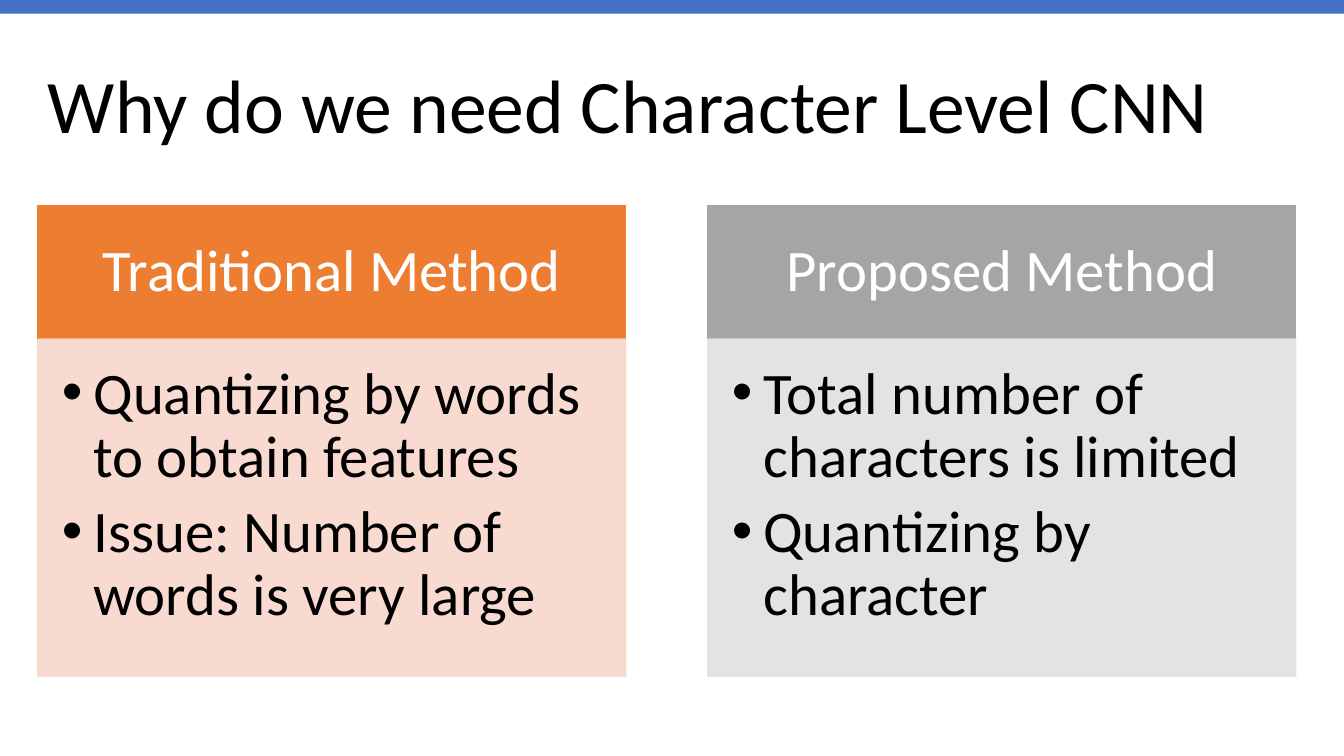
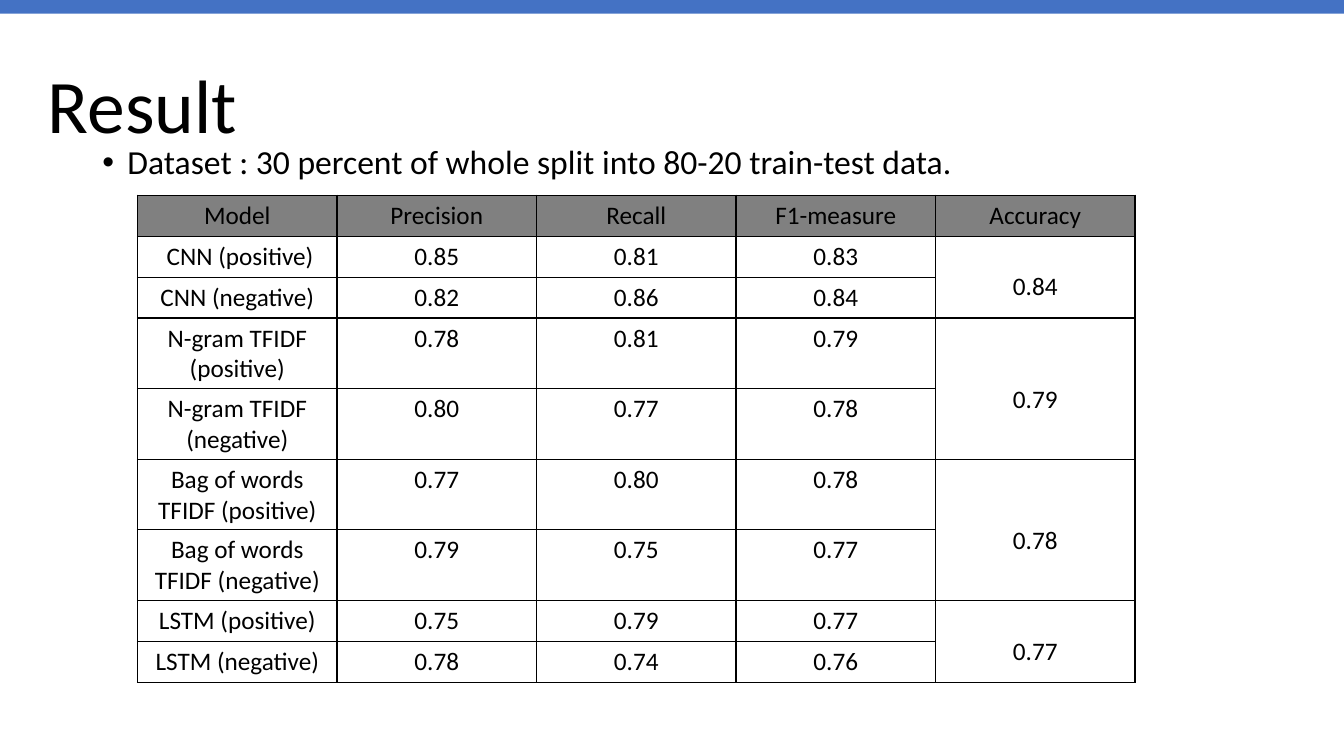
from dataclasses import dataclass

from lxml.etree import SubElement
from pptx import Presentation
from pptx.dml.color import RGBColor
from pptx.enum.shapes import MSO_SHAPE
from pptx.enum.text import MSO_ANCHOR, MSO_AUTO_SIZE, PP_ALIGN
from pptx.oxml.ns import qn
from pptx.shapes.autoshape import Shape
from pptx.slide import Slide
from pptx.table import _Cell
from pptx.text.text import TextFrame, _Paragraph
from pptx.util import Emu, Pt

WIDE, HIGH = 1280, 720


@dataclass(frozen=True)
class Theme:
    font: str = "Calibri"
    ink: str = "000000"
    paper: str = "FFFFFF"
    band: str = "4472C4"
    orange: str = "ED7D31"
    peach: str = "F8D7CD"
    gray: str = "A5A5A5"
    pale: str = "E1E1E1"
    head: str = "808080"
    title: int = 54
    card: int = 42
    note: int = 24
    cell: int = 18


@dataclass(frozen=True)
class Box:
    left: int
    top: int
    width: int
    height: int

    def emu(self) -> tuple[Emu, Emu, Emu, Emu]:
        return px(self.left), px(self.top), px(self.width), px(self.height)


@dataclass(frozen=True)
class Card:
    head: str
    points: tuple[str, ...]
    dark: str
    light: str


@dataclass(frozen=True)
class Model:
    """Two result rows that share one accuracy, set some lines down."""
    rows: tuple[tuple[str, ...], tuple[str, ...]]
    score: str
    drop: int


THEME = Theme()

CARDS = (
    Card("Traditional Method",
         ("Quantizing by words to obtain features",
          "Issue: Number of words is very large"),
         THEME.orange, THEME.peach),
    Card("Proposed Method",
         ("Total number of characters is limited", "Quantizing by character"),
         THEME.gray, THEME.pale),
)

HEADS = ("Model", "Precision", "Recall", "F1-measure", "Accuracy")
MODELS = (
    Model(((" CNN (positive)", "0.85", "0.81", "0.83"),
           ("CNN (negative)", "0.82", "0.86", "0.84")), "0.84", 1),
    Model((("N-gram TFIDF (positive)", "0.78", "0.81", "0.79"),
           ("N-gram TFIDF (negative)", "0.80", "0.77", "0.78")), "0.79", 2),
    Model((("Bag of words TFIDF (positive)", "0.77", "0.80", "0.78"),
           ("Bag of words TFIDF (negative)", "0.79", "0.75", "0.77")), "0.78", 2),
    Model((("LSTM (positive)", "0.75", "0.79", "0.77"),
           ("LSTM (negative)", "0.78", "0.74", "0.76")), "0.77", 1),
)


def px(count: int) -> Emu:
    return Emu(count * 9525)


def style(para: _Paragraph, size: int, color: str = THEME.ink,
          align: PP_ALIGN = PP_ALIGN.LEFT, lead: float = 0.9) -> None:
    para.alignment = align
    para.line_spacing = lead
    for run in para.runs:
        run.font.name = THEME.font
        run.font.size = Pt(size)
        run.font.bold = False
        run.font.color.rgb = RGBColor.from_string(color)


def bullet(para: _Paragraph, indent: int) -> None:
    """Add a round bullet; call after the spacing is set."""
    props = para._p.get_or_add_pPr()
    props.set("marL", str(px(indent)))
    props.set("indent", str(-px(indent)))
    SubElement(props, qn("a:buFont")).set("typeface", "Arial")
    SubElement(props, qn("a:buChar")).set("char", "•")


def inset(frame: TextFrame, left: int, top: int, right: int, bottom: int) -> None:
    frame.word_wrap = True
    frame.margin_left, frame.margin_top = px(left), px(top)
    frame.margin_right, frame.margin_bottom = px(right), px(bottom)


def block(slide: Slide, box: Box, color: str, edge: bool = True,
          alpha: int = 100) -> Shape:
    """Draw a plain rectangle; alpha is its opacity in percent."""
    shape = slide.shapes.add_shape(MSO_SHAPE.RECTANGLE, *box.emu())
    shape.shadow.inherit = False
    shape.fill.solid()
    shape.fill.fore_color.rgb = RGBColor.from_string(color)
    if edge:
        shape.line.width = Pt(1)
        shape.line.color.rgb = RGBColor.from_string(color)
    else:
        shape.line.fill.background()
    if alpha < 100:
        for tint in shape._element.spPr.iter(qn("a:srgbClr")):
            SubElement(tint, qn("a:alpha")).set("val", str(alpha * 1000))
    return shape


def page(deck: Presentation, text: str) -> Slide:
    """Add a slide with the shared title and top band."""
    slide = deck.slides.add_slide(deck.slide_layouts[5])
    title = slide.shapes.title
    title.left, title.top, title.width, title.height = Box(36, 34, 1198, 139).emu()
    frame = title.text_frame
    frame.text = text
    frame.auto_size = MSO_AUTO_SIZE.NONE
    frame.vertical_anchor = MSO_ANCHOR.MIDDLE
    style(frame.paragraphs[0], THEME.title)
    block(slide, Box(0, 0, WIDE, 13), THEME.band, edge=False)
    return slide


def panel(slide: Slide, card: Card, left: int) -> None:
    top, width, cap, depth = 196, 560, 127, 321
    head = block(slide, Box(left, top, width, cap), card.dark).text_frame
    inset(head, 32, 18, 32, 18)
    head.vertical_anchor = MSO_ANCHOR.MIDDLE
    head.text = card.head
    style(head.paragraphs[0], THEME.card, THEME.paper, PP_ALIGN.CENTER)

    body = block(slide, Box(left, top + cap, width, depth), card.light,
                 alpha=90).text_frame
    inset(body, 23, 23, 32, 35)
    body.vertical_anchor = MSO_ANCHOR.TOP
    body.text = "\n".join(card.points)
    for para in body.paragraphs:
        style(para, THEME.card)
        para.space_after = Pt(8)
        bullet(para, 30)


def note(slide: Slide, text: str) -> None:
    frame = slide.shapes.add_textbox(*Box(88, 134, 1104, 50).emu()).text_frame
    frame.word_wrap = True
    frame.text = text
    para = frame.paragraphs[0]
    style(para, THEME.note)
    para.space_before = Pt(10)
    bullet(para, 24)


def border(cell: _Cell) -> None:
    props = cell._tc.get_or_add_tcPr()
    for spot, side in enumerate(("a:lnL", "a:lnR", "a:lnT", "a:lnB")):
        line = props.makeelement(qn(side), {"w": str(Pt(1))})
        fill = SubElement(line, qn("a:solidFill"))
        SubElement(fill, qn("a:srgbClr")).set("val", THEME.ink)
        props.insert(spot, line)


def write(cell: _Cell, text: str) -> None:
    cell.text = text
    style(cell.text_frame.paragraphs[0], THEME.cell, align=PP_ALIGN.CENTER, lead=1.0)


def grid(slide: Slide) -> None:
    wide, high, line = 190, 39, 29
    count, last = 1 + 2 * len(MODELS), len(HEADS) - 1
    box = Box(131, 186, wide * len(HEADS), high * count)
    table = slide.shapes.add_table(count, len(HEADS), *box.emu()).table
    table.first_row = table.horz_banding = False
    for col in table.columns:
        col.width = px(wide)
    for row in table.rows:
        row.height = px(high)
    for cell in table.iter_cells():
        cell.fill.background()
        border(cell)
    for col, text in enumerate(HEADS):
        cell = table.cell(0, col)
        write(cell, text)
        cell.fill.solid()
        cell.fill.fore_color.rgb = RGBColor.from_string(THEME.head)
    for spot, model in enumerate(MODELS):
        top = 1 + 2 * spot
        for step, texts in enumerate(model.rows):
            for col, text in enumerate(texts):
                write(table.cell(top + step, col), text)
        score = table.cell(top, last)
        score.merge(table.cell(top + 1, last))
        write(score, model.score)
        score.margin_top = px(5 + line * model.drop)


def main() -> None:
    deck = Presentation()
    deck.slide_width, deck.slide_height = px(WIDE), px(HIGH)

    slide = page(deck, "Why do we need Character Level CNN")
    for spot, card in enumerate(CARDS):
        panel(slide, card, 36 + 638 * spot)

    slide = page(deck, "Result")
    note(slide, "Dataset : 30 percent of whole split into 80-20 train-test data.")
    grid(slide)

    deck.save("out.pptx")


if __name__ == "__main__":
    main()
